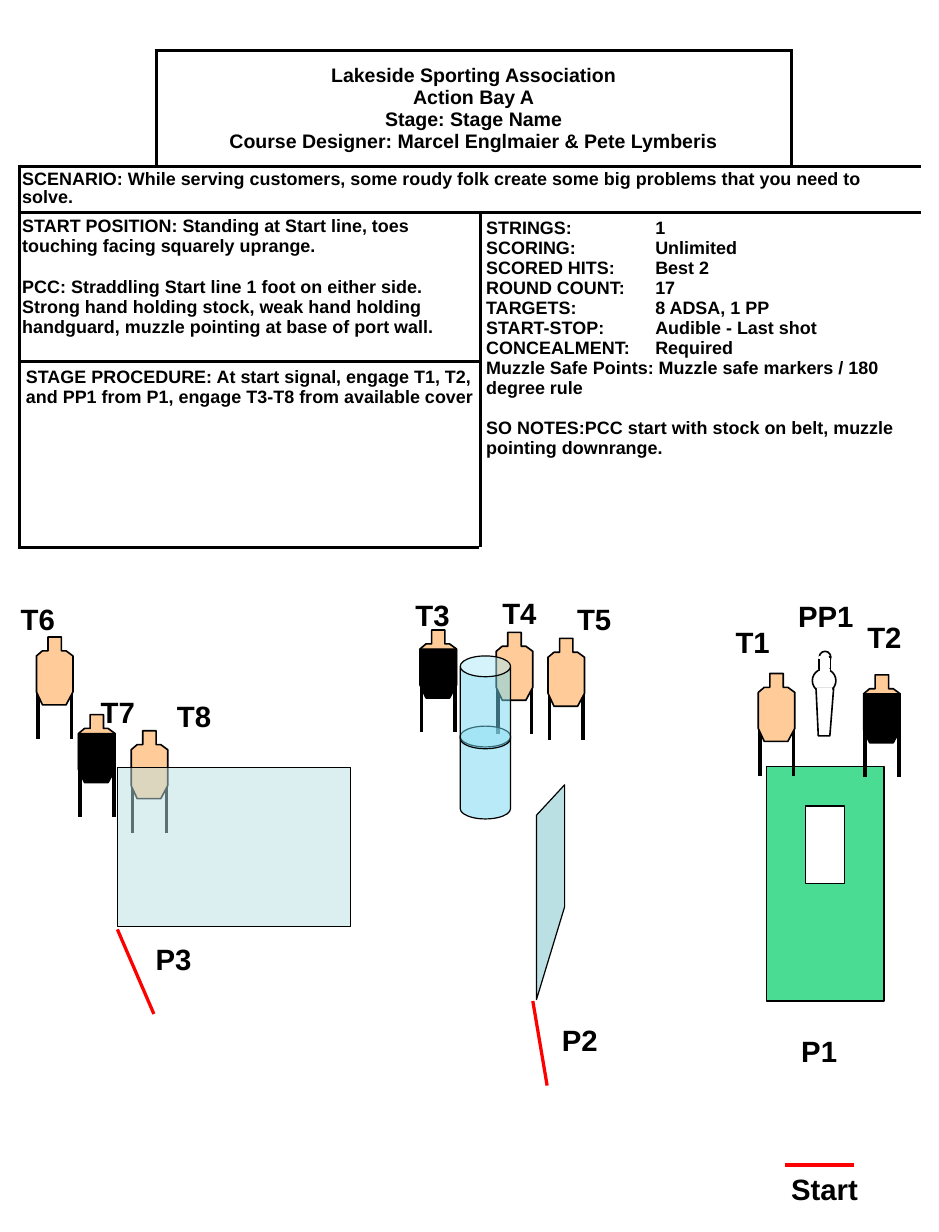
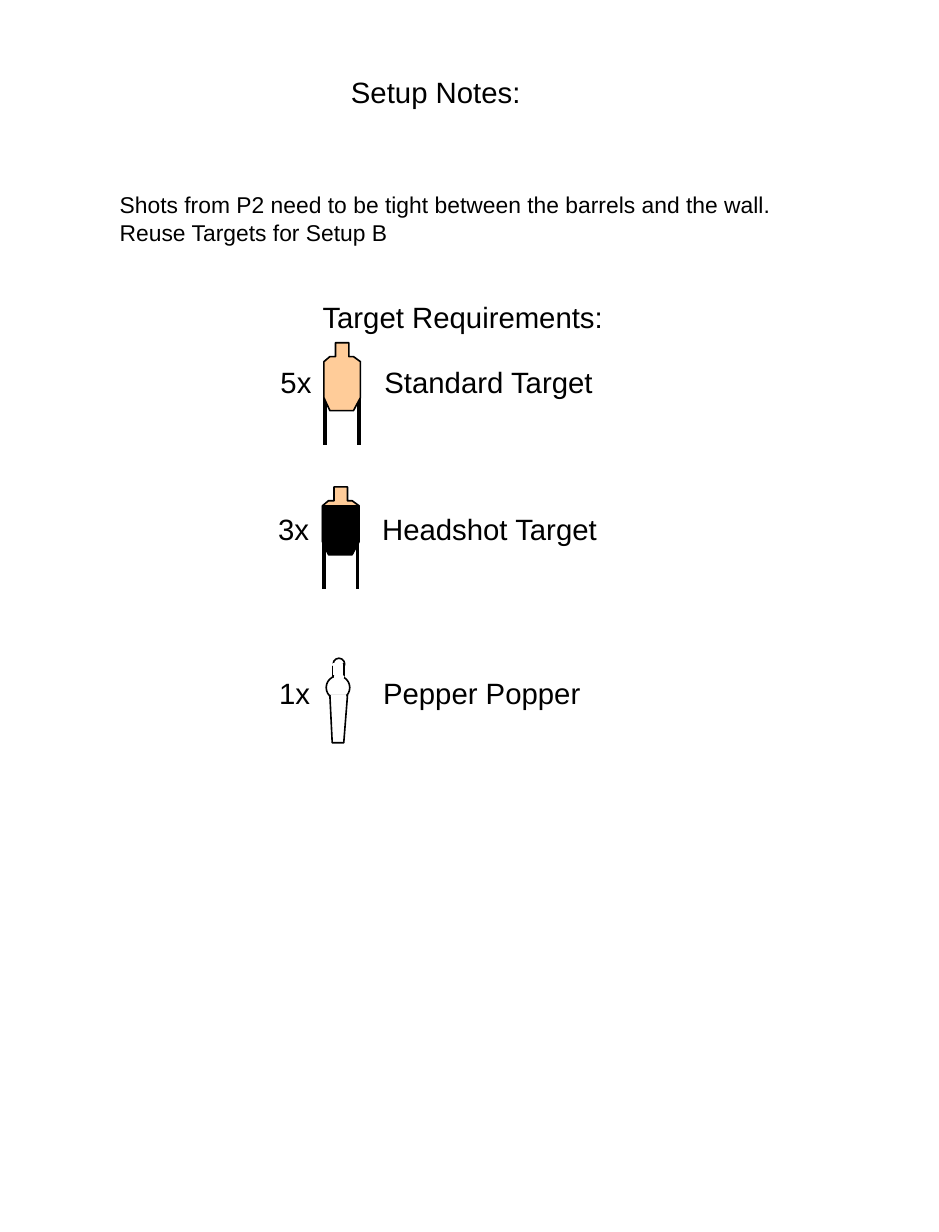
from lxml.etree import SubElement
from pptx import Presentation
from pptx.dml.color import RGBColor
from pptx.enum.shapes import MSO_CONNECTOR, MSO_SHAPE
from pptx.enum.text import MSO_ANCHOR, MSO_AUTO_SIZE, PP_ALIGN
from pptx.oxml import parse_xml
from pptx.oxml.ns import nsdecls, qn
from pptx.util import Cm, Pt

COLORS = {
    "ink": "000000",
    "paper": "FFFFFF",
    "cardboard": "FFCC99",
    "fault_line": "FF0000",
    "port_wall": "4ADC93",
    "see_through": "BBE0E3",
    "barrel": "73D9F1",
}
FONT = "Arial"
TARGET_OUTLINE = [(0.25, 0), (0.54, 0), (0.54, 0.3), (0.64, 0.3), (0.79, 0.41), (0.79, 1.19),
                  (0.64, 1.47), (0.13, 1.47), (0, 1.19), (0, 0.41), (0.13, 0.3), (0.25, 0.3)]
HARD_COVER = [(0, 0.41), (0.79, 0.41), (0.79, 1.17), (0.64, 1.46), (0.15, 1.46), (0, 1.18)]
POPPER_POST = [(0.08, 0.81), (0.46, 0.81), (0.38, 1.83), (0.13, 1.83)]
STAGE_FACTS = [
    ("STRINGS:", "1"),
    ("SCORING:", "Unlimited"),
    ("SCORED HITS:", "Best 2"),
    ("ROUND COUNT:", "17"),
    ("TARGETS:", "8 ADSA, 1 PP"),
    ("START-STOP:", "Audible - Last shot"),
    ("CONCEALMENT:", "Required"),
]


def rgb(name):
    """Return the named palette colour."""
    return RGBColor.from_string(COLORS[name])


def write(frame, lines, size, bold=False, align=PP_ALIGN.LEFT, tab=None, gap=0, spacing=None):
    """Fill a text frame; a line may be a (text, space before) pair."""
    frame.word_wrap = True
    for index, line in enumerate(lines):
        text, before = line if isinstance(line, tuple) else (line, gap)
        paragraph = frame.paragraphs[0] if index == 0 else frame.add_paragraph()
        paragraph.text = text
        paragraph.alignment = align
        paragraph.space_before = Pt(before if index else 0)
        if spacing:
            paragraph.line_spacing = spacing
        if tab and "\t" in text:
            tabs = SubElement(paragraph._p.get_or_add_pPr(), qn("a:tabLst"))
            SubElement(tabs, qn("a:tab"), pos=str(Cm(tab)), algn="l")
        font = paragraph.font
        font.name, font.size, font.bold = FONT, Pt(size), bold
        font.color.rgb = rgb("ink")


def add_text(shapes, left, top, width, lines, size=18, height=1.02, **style):
    """Add a text box."""
    box = shapes.add_textbox(Cm(left), Cm(top), Cm(width), Cm(height))
    write(box.text_frame, lines, size, **style)


def paint(shape, fill, line="ink", weight=1, alpha=None):
    """Set the fill, outline and opacity of a shape."""
    shape.shadow.inherit = False
    shape.fill.solid()
    shape.fill.fore_color.rgb = rgb(fill)
    if alpha:
        color = shape._element.spPr.find(qn("a:solidFill"))[0]
        SubElement(color, qn("a:alpha"), val=str(alpha * 1000))
    if line is None:
        shape.line.fill.background()
    else:
        shape.line.color.rgb = rgb(line)
        shape.line.width = Pt(weight)


def add_preset(shapes, kind, left, top, width, height, *look, **paint_options):
    """Add a painted preset shape."""
    shape = shapes.add_shape(kind, Cm(left), Cm(top), Cm(width), Cm(height))
    paint(shape, *look, **paint_options)
    return shape


def add_outline(shapes, left, top, contours, *look, **paint_options):
    """Add a painted freeform from closed contours given relative to a corner."""
    builder = None
    for contour in contours:
        start, *rest = [(Cm(left + x), Cm(top + y)) for x, y in contour]
        if builder is None:
            builder = shapes.build_freeform(*start)
        else:
            builder.move_to(*start)
        builder.add_line_segments(rest, close=True)
    paint(builder.convert_to_shape(), *look, **paint_options)


def add_line(shapes, x1, y1, x2, y2, color="fault_line", weight=2):
    """Add a straight line without a shadow."""
    line = shapes.add_connector(MSO_CONNECTOR.STRAIGHT, Cm(x1), Cm(y1), Cm(x2), Cm(y2))
    line.line.color.rgb = rgb(color)
    line.line.width = Pt(weight)
    SubElement(line._element.spPr, qn("a:effectLst"))


def add_target(shapes, left, top, headshot=False):
    """Draw a target on its stand, with hard cover for a headshot."""
    parts = shapes.add_group_shape().shapes
    for leg in (0.03, 0.76):
        add_line(parts, left + leg, top + 1.09, left + leg, top + 2.21, "ink", 2.25)
    add_outline(parts, left, top, [TARGET_OUTLINE], "cardboard")
    if headshot:
        add_outline(parts, left, top, [HARD_COVER], "ink", weight=0)


def add_popper(shapes, left, top):
    """Draw a pepper popper."""
    parts = shapes.add_group_shape().shapes
    for x, y, size in ((0.15, 0, 0.25), (0, 0.38, 0.51)):
        add_preset(parts, MSO_SHAPE.OVAL, left + x, top + y, size, size, "paper")
    add_outline(parts, left, top, [POPPER_POST], "paper")
    for x, y, width, height, line in (
        (0.14, 0.13, 0.25, 0.25, "ink"),
        (0.1, 0.79, 0.33, 0.05, None),
        (0.18, 0.38, 0.18, 0.05, "paper"),
        (0.15, 0.13, 0.2, 0.03, "paper"),
    ):
        add_preset(parts, MSO_SHAPE.RECTANGLE, left + x, top + y, width, height, "paper", line)


def add_labels(shapes, left, top, labels):
    """Place the bold position and target names of a bay."""
    for name, x, y in labels:
        width = {"PP1": 1.85, "Start": 2.39}.get(name, 1.47)
        add_text(shapes, left + x, top + y, width, [name], bold=True)


def add_left_bay(shapes, left, top):
    """Draw targets T6 to T8 behind the wall at P3."""
    add_target(shapes, left + 2.64, top + 3.12)
    add_target(shapes, left + 0.59, top + 1.09)
    add_labels(shapes, left, top, [
        ("T6", 0, 0.2), ("T7", 1.73, 2.21), ("T8", 3.38, 2.29), ("P3", 2.92, 7.54)])
    add_preset(shapes, MSO_SHAPE.RECTANGLE, left + 2.34, top + 3.91, 5.05, 3.45,
               "see_through", weight=0.75, alpha=50)
    add_target(shapes, left + 1.5, top + 2.77, headshot=True)
    add_line(shapes, left + 3.13, top + 9.25, left + 2.34, top + 7.42)


def add_middle_bay(shapes, left, top):
    """Draw targets T3 to T5, the barrels and the slanted wall at P2."""
    add_line(shapes, left + 3.1, top + 10.8, left + 2.79, top + 8.97)
    add_target(shapes, left + 3.12, top + 1.12)
    add_target(shapes, left + 2, top + 0.99)
    wall = [(3.48, 6.93), (2.87, 8.94), (2.87, 4.95), (3.48, 4.29)]
    add_outline(shapes, left, top, [wall], "see_through", weight=0.75)
    add_labels(shapes, left, top, [
        ("T3", 0, 0.1), ("T4", 1.88, 0.05), ("T5", 3.5, 0.2), ("P2", 3.17, 9.3)])
    barrels = shapes.add_group_shape().shapes
    for y in (3.02, 1.5):
        barrel = add_preset(barrels, MSO_SHAPE.CAN, left + 1.22, top + y, 1.09, 2.01,
                            "barrel", weight=0.75, alpha=50)
        barrel.adjustments[0] = 0.413
    add_target(shapes, left + 0.35, top + 0.94, headshot=True)


def rectangle(x, y, width, height):
    """Return the corners of a rectangle."""
    return [(x, y), (x + width, y), (x + width, y + height), (x, y + height)]


def add_right_bay(shapes, left, top):
    """Draw T1, T2 and the popper behind the port wall, and the start line."""
    add_outline(shapes, left + 0.92, top + 3.89,
                [rectangle(0, 0, 2.54, 5.08), rectangle(0.84, 0.86, 0.84, 1.68)],
                "port_wall", weight=0)
    add_target(shapes, left + 0.74, top + 1.88)
    add_popper(shapes, left + 1.91, top + 1.4)
    add_target(shapes, left + 3.02, top + 1.91, headshot=True)
    add_line(shapes, left + 2.8, top + 12.52, left + 1.32, top + 12.52)
    add_labels(shapes, left, top, [
        ("T1", 0, 0.69), ("PP1", 1.35, 0.13), ("T2", 2.85, 0.58),
        ("P1", 1.42, 9.55), ("Start", 1.2, 12.52)])


def format_cell(cell, sides):
    """Give a cell a white fill and black borders on the given sides."""
    cell.fill.solid()
    cell.fill.fore_color.rgb = rgb("paper")
    properties = cell._tc.get_or_add_tcPr()
    for index, side in enumerate(s for s in "LRTB" if s in sides):
        properties.insert(index, parse_xml(
            f'<a:ln{side} {nsdecls("a")} w="{Pt(2.25)}"><a:solidFill>'
            f'<a:srgbClr val="{COLORS["ink"]}"/></a:solidFill></a:ln{side}>'))


def add_briefing(shapes, left, top, width, height):
    """Add the stage briefing table."""
    table = shapes.add_table(4, 4, Cm(left), Cm(top), Cm(width), Cm(height)).table
    table.first_row = table.horz_banding = False
    for column, size in zip(table.columns, (2.95, 7.01, 6.73, 2.79)):
        column.width = Cm(size)
    for row, size in zip(table.rows, (2.51, 1, 3.22, 4.04)):
        row.height = Cm(size)

    facts = ["\t".join(fact) for fact in STAGE_FACTS] + [
        "Muzzle Safe Points: Muzzle safe markers / 180 degree rule",
        ("SO NOTES:PCC start with stock on belt, muzzle pointing downrange.", 12.5)]
    regions = [
        ((0, 1, 0, 2), 0.13, 0.13, 12, dict(align=PP_ALIGN.CENTER), [
            "Lakeside Sporting Association\vAction Bay A\vStage: Stage Name\v"
            "Course Designer: Marcel Englmaier & Pete Lymberis"]),
        ((1, 0, 1, 3), 0.05, 0.1, 11, dict(spacing=0.9), [
            "SCENARIO: While serving customers, some roudy folk create some big problems "
            "that you need to solve."]),
        ((2, 0, 2, 1), 0.05, 0.08, 11, {}, [
            "START POSITION: Standing at Start line, toes touching facing squarely uprange.",
            ("PCC: Straddling Start line 1 foot on either side. Strong hand holding stock, "
             "weak hand holding handguard, muzzle pointing at base of port wall.", 13)]),
        ((2, 2, 3, 3), 0.13, 0.13, 11, dict(tab=3.66), facts),
        ((3, 0, 3, 1), 0.13, 0.13, 11, {}, [
            "STAGE PROCEDURE: At start signal, engage T1, T2, and PP1 from P1, "
            "engage T3-T8 from available cover"]),
    ]
    format_cell(table.cell(0, 0), "RB")
    format_cell(table.cell(0, 3), "LB")
    for (first_row, first_col, last_row, last_col), side, edge, size, style, lines in regions:
        for row in range(first_row, last_row + 1):
            for col in range(first_col, last_col + 1):
                edges = {"L": col == first_col, "R": col == last_col,
                         "T": row == first_row, "B": row == last_row}
                format_cell(table.cell(row, col), [s for s, outer in edges.items() if outer])
        cell = table.cell(first_row, first_col)
        cell.merge(table.cell(last_row, last_col))
        cell.margin_left = cell.margin_right = Cm(side)
        cell.margin_top = cell.margin_bottom = Cm(edge)
        cell.vertical_anchor = MSO_ANCHOR.TOP if first_row else MSO_ANCHOR.MIDDLE
        write(cell.text_frame, lines, size, bold=True, **style)


def add_requirement(shapes, left, top, count, kind):
    """Add a count and target name with room for the drawing between them."""
    add_text(shapes, left, top, 7.6, [f"{count}x\t{kind}"], tab=2.25)


def build_stage(presentation):
    """Build the stage briefing and its plan."""
    shapes = presentation.slides.add_slide(presentation.slide_layouts[6]).shapes
    add_briefing(shapes, 0.43, 1.09, 19.48, 10.77)
    add_left_bay(shapes, 0.2, 12.7)
    add_middle_bay(shapes, 8.74, 12.7)
    add_right_bay(shapes, 15.67, 12.7)


def build_setup(presentation):
    """Build the setup notes and the target list."""
    shapes = presentation.slides.add_slide(presentation.slide_layouts[5]).shapes
    title = shapes.title
    title.left, title.top, title.width, title.height = Cm(7.34), Cm(1.47), Cm(4.4), Cm(1.02)
    write(title.text_frame, ["Setup Notes:"], 18)
    title.text_frame.auto_size = MSO_AUTO_SIZE.NONE
    title.text_frame.vertical_anchor = MSO_ANCHOR.TOP
    add_text(shapes, 2.34, 4.01, 15.67, [
        "Shots from P2 need to be tight between the barrels and the wall.",
        "Reuse Targets for Setup B"], size=14, height=1.45)
    add_text(shapes, 6.73, 6.35, 6.86, ["Target Requirements:"])
    add_target(shapes, 7.01, 7.42)
    add_requirement(shapes, 5.82, 7.75, 5, "Standard Target")
    add_target(shapes, 6.98, 10.54, headshot=True)
    add_requirement(shapes, 5.77, 10.95, 3, "Headshot Target")
    add_popper(shapes, 7.06, 14.25)
    add_requirement(shapes, 5.79, 14.5, 1, "Pepper Popper")


def main():
    """Build and save the presentation."""
    presentation = Presentation()
    presentation.slide_width, presentation.slide_height = Cm(20.32), Cm(26.67)
    build_stage(presentation)
    build_setup(presentation)
    presentation.save("out.pptx")


if __name__ == "__main__":
    main()
